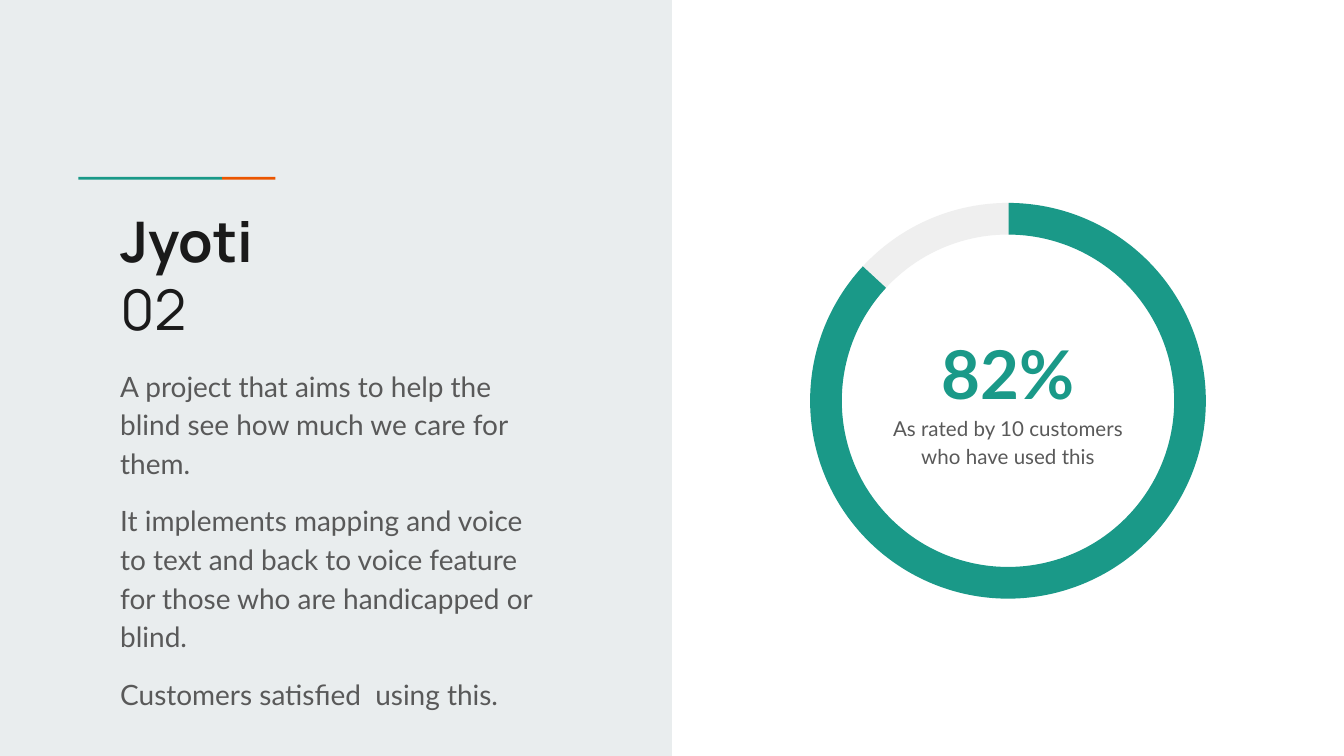
from pptx import Presentation
from pptx.dml.color import RGBColor
from pptx.enum.shapes import MSO_SHAPE
from pptx.enum.text import MSO_ANCHOR, MSO_AUTO_SIZE, PP_ALIGN
from pptx.oxml.xmlchemy import OxmlElement
from pptx.util import Pt

PANEL = RGBColor(0xE9, 0xED, 0xEE)
TEAL = RGBColor(0x1A, 0x99, 0x88)
ORANGE = RGBColor(0xEB, 0x56, 0x00)
TRACK = RGBColor(0xEF, 0xEF, 0xEF)
INK = RGBColor(0x1A, 0x1A, 0x1A)
GRAY = RGBColor(0x59, 0x59, 0x59)

WIDTH, HEIGHT = 720, 405


def place(shape, left, top, width, height):
    shape.left, shape.top = Pt(left), Pt(top)
    shape.width, shape.height = Pt(width), Pt(height)


def add_filled(slide, kind, box, color):
    shape = slide.shapes.add_shape(kind, *(Pt(length) for length in box))
    shape.shadow.inherit = False
    shape.fill.solid()
    shape.fill.fore_color.rgb = color
    shape.line.fill.background()
    return shape


def write_text(shape, box, paragraphs, size, color, font="Lato", bold=(False,),
               align=PP_ALIGN.LEFT, line_spacing=1.15, gap=0, after=0):
    place(shape, *box)
    shape.element.getparent().append(shape.element)
    frame = shape.text_frame
    frame.word_wrap = True
    frame.auto_size = MSO_AUTO_SIZE.NONE
    frame.vertical_anchor = MSO_ANCHOR.TOP
    frame.margin_left = frame.margin_right = Pt(7.2)
    frame.margin_top = frame.margin_bottom = Pt(7.2)
    frame.text = "\n".join(paragraphs)
    for index, paragraph in enumerate(frame.paragraphs):
        properties = paragraph._p.get_or_add_pPr()
        properties.set("marL", "0")
        properties.set("indent", "0")
        properties.append(OxmlElement("a:buNone"))
        paragraph.alignment = align
        paragraph.line_spacing = line_spacing
        paragraph.space_before = Pt(gap if index else 0)
        paragraph.space_after = Pt(0)
        for run in paragraph.runs:
            run.font.name = font
            run.font.size = Pt(size)
            run.font.bold = bold[index % len(bold)]
            run.font.color.rgb = color
    frame.paragraphs[-1].space_after = Pt(after)


def add_arc(slide, box, start, end, color):
    arc = add_filled(slide, MSO_SHAPE.BLOCK_ARC, box, color)
    arc.adjustments[0] = start * 0.6
    arc.adjustments[1] = end * 0.6
    arc.adjustments[2] = 0.08
    return arc


def build_project_panel(slide, title, description, box):
    left, top, width, height = box
    add_filled(slide, MSO_SHAPE.RECTANGLE, box, PANEL)
    for offset, length, color in ((42, 77, TEAL), (119, 28.5, ORANGE)):
        add_filled(slide, MSO_SHAPE.RECTANGLE,
                   (left + offset, top + 94.8, length, 1.5), color)
    write_text(title, (left + 57.3, top + 103.7, 260, 133), ["Jyoti", "02"],
               size=30, color=INK, font="Manrope", bold=(True, False),
               line_spacing=1.0)
    write_text(description, (left + 57.2, top + 188, 242, 200), [
        "A project that aims to help the blind see how much we care for them.",
        "It implements mapping and voice to text and back to voice feature "
        "for those who are handicapped or blind.",
        "Customers satisfied  using this.",
    ], size=15, color=GRAY, gap=10, after=10)


def build_rating_ring(slide, value, caption, box):
    left, top, width, height = box
    track = add_arc(slide, box, 43.8, 98, TRACK)
    track.rotation = 176.5
    add_arc(slide, box, 270.2, 222.8, TEAL)
    center = left + width / 2
    write_text(value, (center - 64.5, top + 55.5, 129, 50.4), ["82%"],
               size=36, color=TEAL, bold=(True,), align=PP_ALIGN.CENTER)
    write_text(caption, (center - 77, top + 105, 154, 60),
               ["As rated by 10 customers who have used this"],
               size=11, color=GRAY, align=PP_ALIGN.CENTER, after=16)


def main():
    presentation = Presentation()
    presentation.slide_width, presentation.slide_height = Pt(WIDTH), Pt(HEIGHT)
    slide = presentation.slides.add_slide(presentation.slide_layouts[4])
    title, value, description, caption, unused = slide.placeholders
    unused.element.getparent().remove(unused.element)
    build_project_panel(slide, title, description, (0, 0, WIDTH / 2, HEIGHT))
    build_rating_ring(slide, value, caption, (434, 108.7, 212, 212))
    presentation.save("out.pptx")


if __name__ == "__main__":
    main()
